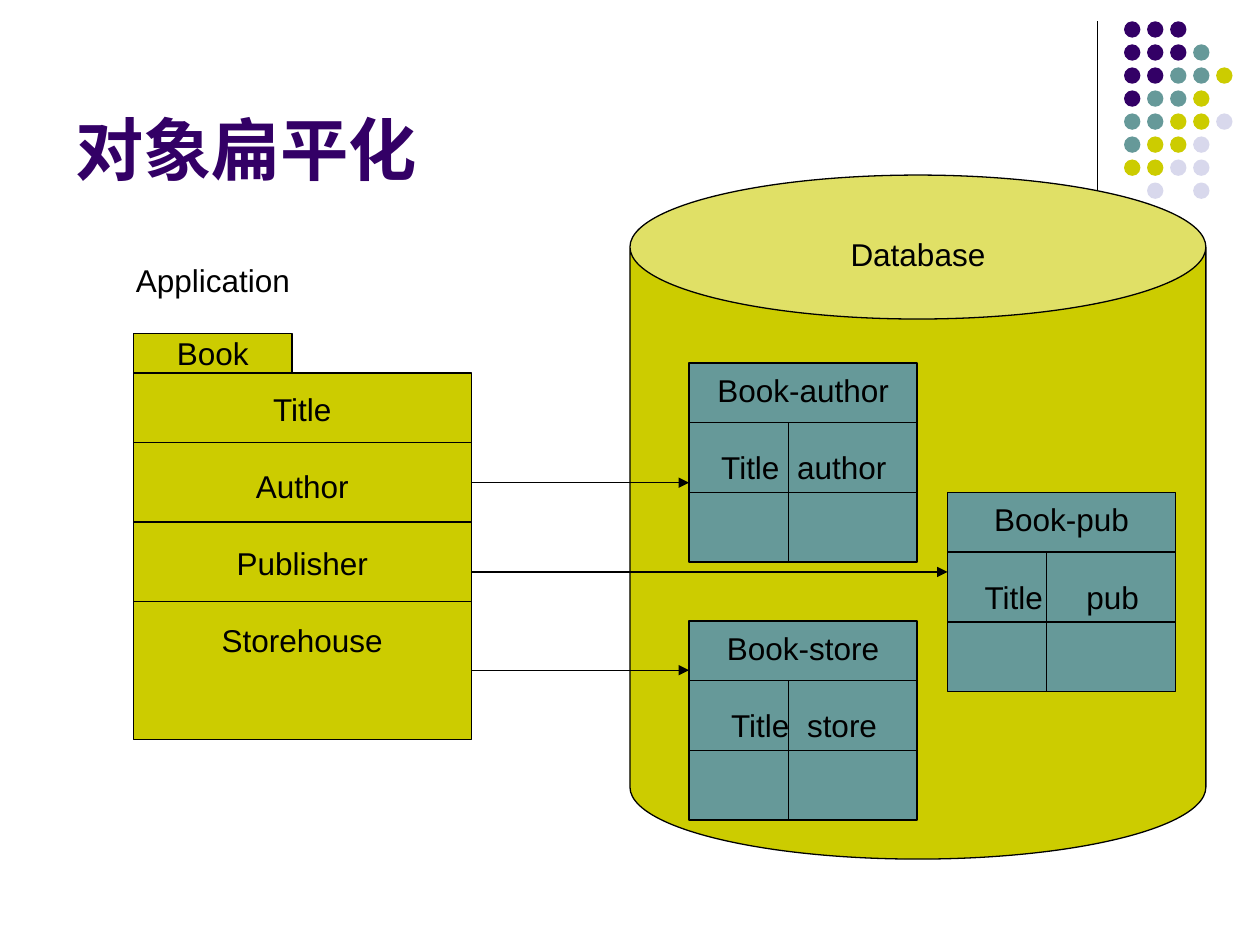
from lxml import etree
from pptx import Presentation
from pptx import util as u
from pptx.dml.color import RGBColor
from pptx.enum import shapes, text
from pptx.oxml.ns import qn

COLORS = {"purple": "330066", "teal": "669999", "olive": "CCCC00",
          "lavender": "D8D8EC", "black": "000000"}
DOT_COLORS = {"p": "purple", "t": "teal", "o": "olive", "l": "lavender"}
DOT_ROWS = ["ppp", "pppt", "pptto", "ptto", "ttool", "tool", "ooll", " l l"]
BODY = {"size": u.Pt(18), "name": "Arial", "bold": False}
TITLE = {"size": u.Pt(39), "name": "Arial", "bold": True}
GAP = u.Pt(22.5)  # leaves one line free between the rows of a box


def rgb(name):
    return RGBColor.from_string(COLORS[name])


def add_shape(s, kind, x, y, w, h, fill, outlined=True):
    sp = s.shapes.add_shape(kind, u.Cm(x), u.Cm(y), u.Cm(w), u.Cm(h))
    sp.shadow.inherit = False
    sp.fill.solid()
    sp.fill.fore_color.rgb = rgb(fill)
    if outlined:
        sp.line.color.rgb = rgb("black")
        sp.line.width = u.Pt(0.75)
    else:
        sp.line.fill.background()
    return sp


def add_line(s, x1, y1, x2, y2, arrow=False):
    c = s.shapes.add_connector(shapes.MSO_CONNECTOR.STRAIGHT,
                               u.Cm(x1), u.Cm(y1), u.Cm(x2), u.Cm(y2))
    c.line.color.rgb = rgb("black")
    c.line.width = u.Pt(0.75)
    if arrow:
        etree.SubElement(c.line._get_or_add_ln(), qn("a:tailEnd"), type="triangle")
    etree.SubElement(c._element.spPr, qn("a:effectLst"))


def set_text(sp, rows, anchor="TOP", align="CENTER", top=0.13, side=0.25,
             fmt=BODY, color="black", tabs=()):
    """Write one paragraph per row; rows with tabs are set on the tab stops."""
    tf = sp.text_frame
    frame = {"word_wrap": True, "vertical_anchor": text.MSO_ANCHOR[anchor],
             "margin_left": u.Cm(side), "margin_right": u.Cm(side),
             "margin_top": u.Cm(top), "margin_bottom": u.Cm(0.13)}
    for key, value in frame.items():
        setattr(tf, key, value)
    for i, row in enumerate(rows):
        p = tf.add_paragraph() if i else tf.paragraphs[0]
        p.alignment = text.PP_ALIGN["LEFT" if "\t" in row else align]
        if i:
            p.space_before = GAP
        if "\t" in row:
            stops = etree.SubElement(p._p.get_or_add_pPr(), qn("a:tabLst"))
            for pos in tabs:
                etree.SubElement(stops, qn("a:tab"), pos=str(int(u.Cm(pos))), algn="l")
        r = p.add_run()
        r.text = row
        for key, value in fmt.items():
            setattr(r.font, key, value)
        r.font.color.rgb = rgb(color)


def add_label(s, label, x, y, w, h, **options):
    sp = s.shapes.add_textbox(u.Cm(x), u.Cm(y), u.Cm(w), u.Cm(h))
    set_text(sp, [label], **options)


def add_dots(s, x, y):
    """Corner ornament: a vertical rule and a grid of dots."""
    add_line(s, x, y, x, y + 4.22)
    pitch = 3.25 / 7
    for j, row in enumerate(DOT_ROWS):
        for i, key in enumerate(row):
            if key in DOT_COLORS:
                add_shape(s, shapes.MSO_SHAPE.OVAL, x + 0.54 + i * pitch,
                          y + j * pitch, 0.33, 0.33, DOT_COLORS[key], False)


def add_class_box(s, x, y, w, h, name, fields):
    """Class with a name tab on top of its field rows."""
    tab_h, first_row, row_h = 0.79, 1.4, 1.6
    top = y + tab_h
    body = add_shape(s, shapes.MSO_SHAPE.RECTANGLE, x, top, w, h - tab_h, "olive")
    set_text(body, fields, top=0.34)
    tab = add_shape(s, shapes.MSO_SHAPE.RECTANGLE, x, y, 3.2, tab_h, "olive")
    set_text(tab, [name], anchor="MIDDLE")
    for i in range(len(fields) - 1):
        line_y = top + first_row + i * row_h
        add_line(s, x, line_y, x + w, line_y)


def add_database(s, x, y, w, h):
    """Cylinder with its name on the lid."""
    add_shape(s, shapes.MSO_SHAPE.CAN, x, y, w, h, "olive")
    add_label(s, "Database", x, y + 1.07, w, 1.02)


def add_db_table(s, x, y, w, h, name, column, tabs):
    """Two-column database table: name, headings and an empty row."""
    sp = add_shape(s, shapes.MSO_SHAPE.RECTANGLE, x, y, w, h, "teal")
    set_text(sp, [name, f"\tTitle\t{column}"], top=0.16, side=0, tabs=tabs)
    head, row, split = 1.2, 2.61, 2
    add_line(s, x, y + head, x + w, y + head)
    add_line(s, x + split, y + head, x + split, y + h)
    add_line(s, x, y + row, x + w, y + row)


def main():
    prs = Presentation()
    prs.slide_width, prs.slide_height = u.Cm(25.4), u.Cm(19.05)
    s = prs.slides.add_slide(prs.slide_layouts[6])

    # Ornament and title
    add_dots(s, 22.12, 0.43)
    add_label(s, "对象扁平化", 1.27, 0.33, 20.96, 3.61, anchor="BOTTOM",
              align="LEFT", fmt=TITLE, color="purple")

    # Application side
    class_x, class_w = 2.69, 6.81
    add_class_box(s, class_x, 6.73, class_w, 8.18, "Book",
                  ["Title", "Author", "Publisher", "Storehouse"])
    add_label(s, "Application", 2.49, 5.13, 5.61, 1.02, align="LEFT")

    # Database side: table place, wording, tab stops and height of its arrow
    add_database(s, 12.7, 3.53, 11.61, 13.79)
    tables = [(13.89, 7.32, "Book-author", "author", (0.65, 2.18), 9.73),
              (19.1, 9.93, "Book-pub", "pub", (0.75, 2.8), 11.53),
              (13.89, 12.52, "Book-store", "store", (0.85, 2.38), 13.51)]
    for x, y, name, column, tabs, arrow_y in tables:
        add_db_table(s, x, y, 4.6, 4.01, name, column, tabs)

    # Arrows from the class to its tables
    for x, *_, arrow_y in tables:
        add_line(s, class_x + class_w, arrow_y, x, arrow_y, arrow=True)

    prs.save("out.pptx")


if __name__ == "__main__":
    main()
